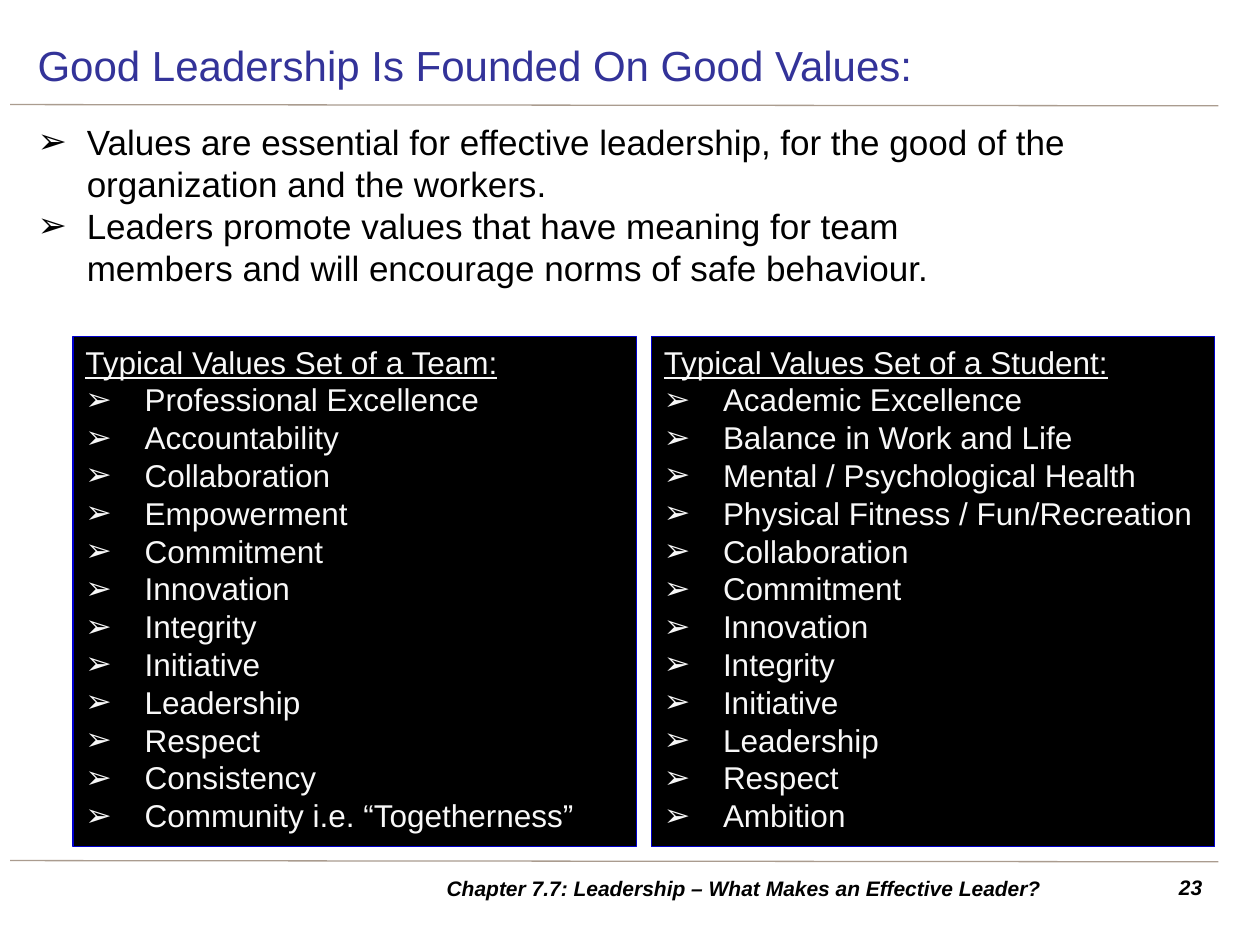
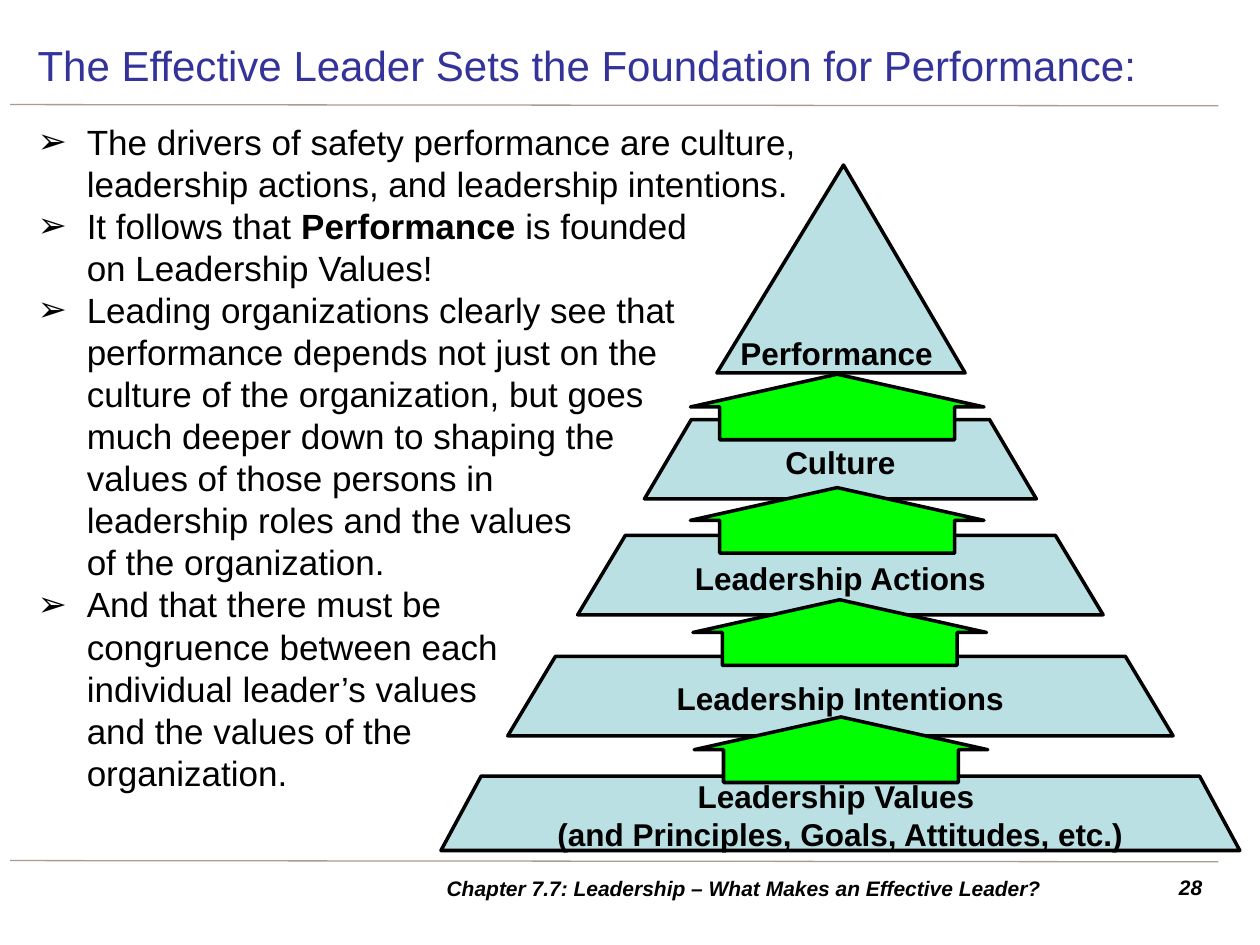
from lxml.etree import SubElement
from pptx import Presentation
from pptx.dml.color import RGBColor
from pptx.enum.shapes import MSO_CONNECTOR as Link, MSO_SHAPE as Preset
from pptx.enum.text import MSO_ANCHOR as Anchor, PP_ALIGN as Align
from pptx.oxml.ns import qn
from pptx.util import Inches, Pt

# ---- Content ----
CHAPTER = "Chapter 7.7: Leadership – What Makes an Effective Leader?"

# A point is a list of (text, bold) runs
VALUES = {
    "title": "Good Leadership Is Founded On Good Values:",
    "page": "23",
    "points": [
        [("Values are essential for effective leadership, for the good of the "
          "organization and the workers.", False)],
        [("Leaders promote values that have meaning for team \n"
          "members and will encourage norms of safe behaviour.", False)],
    ],
}
VALUE_SETS = [
    ("Typical Values Set of a Team:",
     ["Professional Excellence", "Accountability", "Collaboration", "Empowerment",
      "Commitment", "Innovation", "Integrity", "Initiative", "Leadership", "Respect",
      "Consistency", "Community i.e. “Togetherness”"]),
    ("Typical Values Set of a Student:",
     ["Academic Excellence", "Balance in Work and Life", "Mental / Psychological Health",
      "Physical Fitness / Fun/Recreation", "Collaboration", "Commitment", "Innovation",
      "Integrity", "Initiative", "Leadership", "Respect", "Ambition"]),
]
FOUNDATION = {
    "title": "The Effective Leader Sets the Foundation for Performance:",
    "page": "28",
    "points": [
        [("The drivers of safety performance are culture, \n"
          "leadership actions, and leadership intentions.", False)],
        [("It follows that ", False), ("Performance ", True),
         ("is founded \non Leadership Values!", False)],
        [("Leading organizations clearly see that \nperformance depends not just on the \n"
          "culture of the organization, but goes \nmuch deeper down to shaping the \n"
          "values of those persons in \nleadership roles and the values \n"
          "of the organization.", False)],
        [("And that there must be \ncongruence between each \nindividual leader’s values \n"
          "and the values of the \norganization.", False)],
    ],
}
PEAK = "Performance"
# Label, top, width, height, slant
TIERS = [
    ("Culture", 3.33, 3.11, 0.63, 0.59),
    ("Leadership Actions", 4.25, 4.17, 0.63, 0.6),
    ("Leadership Intentions", 5.21, 5.28, 0.63, 0.6),
    ("Leadership Values \n(and Principles, Goals, Attitudes, etc.)", 6.16, 6.34, 0.59, 0.54),
]
# Left and top of each arrow
ARROWS = [(5.48, 2.97), (5.48, 3.87), (5.5, 4.76), (5.51, 5.69)]

# ---- Format ----
COLOURS = {"title": "333399", "text": "000000", "rule": "AA9C8F", "panel": "000000",
           "panel edge": "0000CC", "panel text": "F8F8F8", "tier": "BBE0E3",
           "arrow": "00FF00", "outline": "000000"}
FONTS = {
    "title": {"size": Pt(24)},
    "body": {"size": Pt(20)},
    "panel": {"size": Pt(18)},
    "footer": {"size": Pt(12), "bold": True, "italic": True},
    "tier": {"size": Pt(18), "bold": True},
}
WIDE, HIGH = 10, 7.5
LEFT, BODY_WIDTH = 0.2, 9.45
AXIS = 6.67
LEADING = 1.2


def colour(name):
    return RGBColor.from_string(COLOURS[name])


def line_height(style):
    return Pt(FONTS[style]["size"].pt * LEADING)


def write(paragraph, runs, style, ink="text"):
    """Add (text, bold) runs, turning newlines into line breaks."""
    for words, bold in runs:
        for row, line in enumerate(words.split("\n")):
            if row:
                paragraph.add_line_break()
            run = paragraph.add_run()
            run.text = line
            for key, value in {"name": "Arial", **FONTS[style]}.items():
                setattr(run.font, key, value)
            if bold:
                run.font.bold = True
            run.font.color.rgb = colour(ink)


def bullet(paragraph, indent, ink="text"):
    props = paragraph._p.get_or_add_pPr()
    props.set("marL", str(Inches(indent)))
    props.set("indent", str(-Inches(indent)))
    tint = SubElement(props, qn("a:buClr"))
    SubElement(tint, qn("a:srgbClr"), val=COLOURS[ink])
    SubElement(props, qn("a:buFont"), typeface="Arial")
    SubElement(props, qn("a:buChar"), char="➢")


def next_paragraph(frame, row):
    return frame.add_paragraph() if row else frame.paragraphs[0]


def set_frame(frame, anchor=Anchor.TOP, inset=None):
    frame.word_wrap = True
    frame.vertical_anchor = anchor
    if inset is not None:
        for side in ("left", "top", "right", "bottom"):
            setattr(frame, f"margin_{side}", Inches(inset))
    return frame


def add_text(slide, box, words, style, ink="text", align=Align.LEFT, **frame_format):
    area = slide.shapes.add_textbox(*map(Inches, box))
    paragraph = set_frame(area.text_frame, **frame_format).paragraphs[0]
    paragraph.alignment = align
    write(paragraph, [(words, False)], style, ink)


def add_block(slide, preset, box, fill, edge="outline", weight=2, adjust=()):
    block = slide.shapes.add_shape(preset, *map(Inches, box))
    block.shadow.inherit = False
    block.fill.solid()
    block.fill.fore_color.rgb = colour(fill)
    block.line.color.rgb = colour(edge)
    block.line.width = Pt(weight)
    for index, value in enumerate(adjust):
        block.adjustments[index] = value
    return block


def add_rule(slide, top):
    ends = (0.08, top, 9.67, top + 0.01)
    rule = slide.shapes.add_connector(Link.STRAIGHT, *map(Inches, ends))
    rule.line.color.rgb = colour("rule")
    rule.line.width = Pt(0.75)
    SubElement(rule._element.spPr, qn("a:effectLst"))


def add_page(deck, content):
    """Slide with rules, title, bulleted points and footer."""
    slide = deck.slides.add_slide(deck.slide_layouts[6])
    for top in (0.83, 6.83):
        add_rule(slide, top)
    body = slide.shapes.add_textbox(*map(Inches, (LEFT, 0.91, BODY_WIDTH, 5.83)))
    frame = set_frame(body.text_frame)
    for row, runs in enumerate(content["points"]):
        point = next_paragraph(frame, row)
        bullet(point, 0.39)
        point.line_spacing = line_height("body")
        write(point, runs, "body")
    add_text(slide, (LEFT, 0.24, BODY_WIDTH, 0.55), content["title"], "title", "title",
             anchor=Anchor.MIDDLE)
    add_text(slide, (9.06, 6.89, 0.58, 0.31), content["page"], "footer", align=Align.RIGHT)
    add_text(slide, (2.95, 6.89, 5.91, 0.31), CHAPTER, "footer", align=Align.CENTER,
             anchor=Anchor.MIDDLE)
    return slide


def add_value_sets(slide):
    width, gap = 4.47, 0.12
    for column, (heading, values) in enumerate(VALUE_SETS):
        box = (0.58 + column * (width + gap), 2.67, width, 4.05)
        panel = add_block(slide, Preset.RECTANGLE, box, "panel", "panel edge", 0.75)
        frame = set_frame(panel.text_frame)
        for row, words in enumerate([heading, *values]):
            entry = next_paragraph(frame, row)
            entry.alignment = Align.LEFT
            if row:
                bullet(entry, 0.47, "panel text")
            entry.line_spacing = line_height("panel")
            write(entry, [(words, False)], "panel", "panel text")
            if not row:
                entry.runs[0].font.underline = True


def add_pyramid(slide):
    # Peak and tiers share one axis
    add_block(slide, Preset.ISOSCELES_TRIANGLE, (5.69, 1.31, 1.97, 1.65), "tier", adjust=[0.51])
    for label, top, width, height, slant in TIERS:
        box = (AXIS - width / 2, top, width, height)
        tier = add_block(slide, Preset.TRAPEZOID, box, "tier", adjust=[slant])
        paragraph = set_frame(tier.text_frame, Anchor.MIDDLE, 0).paragraphs[0]
        paragraph.alignment = Align.CENTER
        write(paragraph, [(label, False)], "tier")
    add_text(slide, (5.39, 2.36, 2.5, 0.59), PEAK, "tier", align=Align.CENTER,
             anchor=Anchor.BOTTOM, inset=0)
    # Arrows lead from each tier to the one above
    for left, top in ARROWS:
        add_block(slide, Preset.UP_ARROW, (left, top, 2.33, 0.52), "arrow", adjust=[0.8, 0.5])


def main():
    deck = Presentation()
    deck.slide_width, deck.slide_height = Inches(WIDE), Inches(HIGH)
    add_value_sets(add_page(deck, VALUES))
    add_pyramid(add_page(deck, FOUNDATION))
    deck.save("out.pptx")


if __name__ == "__main__":
    main()
